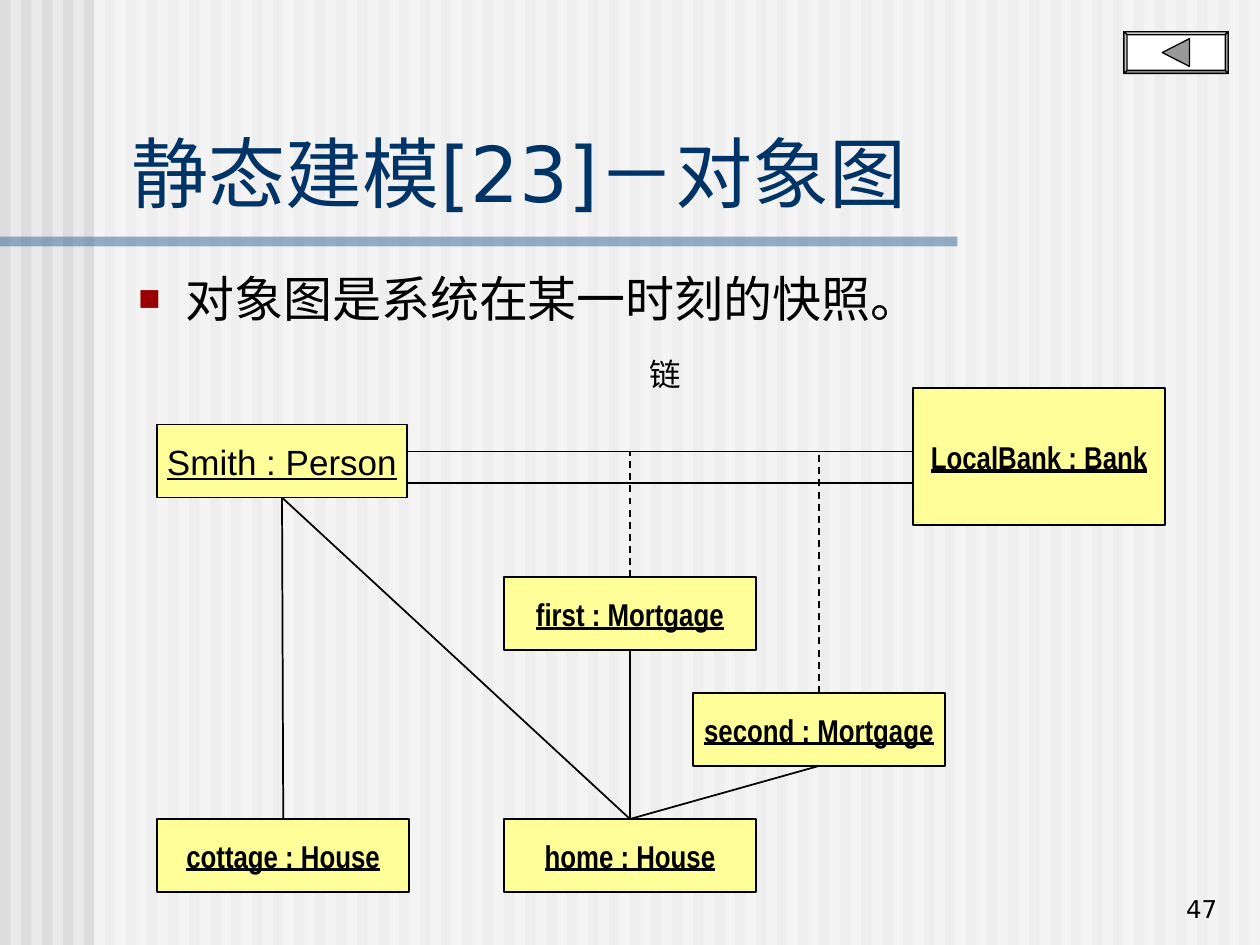
from dataclasses import dataclass

from lxml.etree import SubElement
from pptx import Presentation
from pptx.dml.color import RGBColor
from pptx.enum.dml import MSO_LINE
from pptx.enum.shapes import MSO_CONNECTOR, MSO_SHAPE
from pptx.enum.text import MSO_ANCHOR as Anchor, PP_ALIGN as Align
from pptx.oxml.ns import qn
from pptx.util import Cm, Pt

WIDTH, HEIGHT = 25.4, 19.05
TOP, LEFT, BOTTOM, RIGHT = range(4)


@dataclass
class ObjectBox:
    text: str
    left: float
    top: float
    width: float = 5.08
    height: float = 1.47
    size: float = 18
    font: str = "Arial Narrow"
    bold: bool = True


def color(value: str) -> RGBColor:
    return RGBColor.from_string(value)


def write(shape, text: str, *, size: float, font: str = "DejaVu Sans", ink: str = "000000",
          bold: bool = False, underline: bool = False, align=Align.LEFT,
          anchor=Anchor.TOP, wrap: bool = True, bullet: str = "") -> None:
    frame = shape.text_frame
    frame.word_wrap = wrap
    frame.vertical_anchor = anchor
    paragraph = frame.paragraphs[0]
    paragraph.alignment = align
    if bullet:
        properties = paragraph._p.get_or_add_pPr()
        properties.set("marL", str(Cm(0.95)))
        properties.set("indent", str(-Cm(0.95)))
        SubElement(SubElement(properties, qn("a:buClr")), qn("a:srgbClr"), val=bullet)
        SubElement(properties, qn("a:buSzPct"), val="75000")
        SubElement(properties, qn("a:buFont"), typeface="Arial")
        SubElement(properties, qn("a:buChar"), char="■")
    run = paragraph.add_run()
    run.text = text
    run.font.size = Pt(size)
    run.font.name = font
    run.font.bold = bold
    run.font.underline = underline
    run.font.color.rgb = color(ink)
    SubElement(run._r.get_or_add_rPr(), qn("a:ea"), typeface=font)


def add_text(slide, left: float, top: float, width: float, height: float, text: str, **style):
    shape = slide.shapes.add_textbox(Cm(left), Cm(top), Cm(width), Cm(height))
    write(shape, text, **style)
    return shape


def paint(shape, fill: str, line: str = "", line_width: float = 1, alpha: int = 100) -> None:
    shape.shadow.inherit = False
    shape.fill.solid()
    shape.fill.fore_color.rgb = color(fill)
    if alpha < 100:
        srgb = shape._element.spPr.find(f"{qn('a:solidFill')}/{qn('a:srgbClr')}")
        SubElement(srgb, qn("a:alpha"), val=str(alpha * 1000))
    if line:
        shape.line.color.rgb = color(line)
        shape.line.width = Pt(line_width)
    else:
        shape.line.fill.background()


def add_rectangle(slide, left: float, top: float, width: float, height: float, fill: str, **look):
    shape = slide.shapes.add_shape(MSO_SHAPE.RECTANGLE, Cm(left), Cm(top), Cm(width), Cm(height))
    paint(shape, fill, **look)
    return shape


def add_object(slide, box: ObjectBox):
    shape = add_rectangle(slide, box.left, box.top, box.width, box.height, "FFFF99", line="000000")
    write(shape, box.text, size=box.size, font=box.font, bold=box.bold, underline=True,
          align=Align.CENTER, anchor=Anchor.MIDDLE, wrap=False)
    return shape


def add_line(slide, start_x: int, start_y: int, end_x: int, end_y: int, dashed: bool = False):
    line = slide.shapes.add_connector(MSO_CONNECTOR.STRAIGHT, start_x, start_y, end_x, end_y)
    line.line.color.rgb = color("000000")
    line.line.width = Pt(1)
    if dashed:
        line.line.dash_style = MSO_LINE.DASH
    SubElement(line._element.spPr, qn("a:effectLst"))
    return line


def add_polygon(slide, points: list[tuple[float, float]], fill: str) -> None:
    corners = [(Cm(x), Cm(y)) for x, y in points]
    builder = slide.shapes.build_freeform(*corners[0])
    builder.add_line_segments(corners[1:], close=True)
    paint(builder.convert_to_shape(), fill, line="000000", line_width=0.75)


def add_background(slide) -> None:
    slide.background.fill.solid()
    slide.background.fill.fore_color.rgb = color("EAEAEA")
    stripes = 60
    for index in range(stripes):
        add_rectangle(slide, index * WIDTH / stripes, 0, WIDTH / stripes / 2, HEIGHT, "DDDDDD")
    add_rectangle(slide, 1.9, 0, 23.5, HEIGHT, "FFFFFF", alpha=50)
    add_rectangle(slide, 0, 4.77, 19.3, 0.2, "336699", alpha=50)


def add_diagram(slide) -> None:
    smith = add_object(slide, ObjectBox("Smith : Person", 3.17, 8.56, width=5.03,
                                        size=20, font="Arial", bold=False))
    cottage = add_object(slide, ObjectBox("cottage : House", 3.17, 16.51))
    home = add_object(slide, ObjectBox("home : House", 10.16, 16.51))
    first = add_object(slide, ObjectBox("first : Mortgage", 10.16, 11.64))
    second = add_object(slide, ObjectBox("second : Mortgage", 13.97, 13.97))
    bank = add_object(slide, ObjectBox("LocalBank : Bank", 18.41, 7.83, height=2.75))

    # Links between objects, bottom side to top side
    for source, target in ((smith, cottage), (smith, home), (first, home), (second, home)):
        line = add_line(slide, 0, 0, 0, 0)
        line.begin_connect(source, BOTTOM)
        line.end_connect(target, TOP)

    # Two parallel links to the bank, with a dashed line to each mortgage
    upper, lower = Cm(9.1), Cm(9.74)
    for y in (upper, lower):
        add_line(slide, smith.left + smith.width, y, bank.left, y)
    for mortgage in (first, second):
        middle = mortgage.left + mortgage.width // 2
        line = add_line(slide, middle, mortgage.top, middle, upper, dashed=True)
        line.begin_connect(mortgage, TOP)

    add_text(slide, 12.22, 7.04, 2.39, 1.02, "链", size=18, font="Arial", align=Align.CENTER)


def add_back_button(slide) -> None:
    left, top, right, bottom, bevel = 22.66, 0.64, 24.76, 1.48, 0.06
    outer = [(left, top), (right, top), (right, bottom), (left, bottom)]
    inner = [(left + bevel, top + bevel), (right - bevel, top + bevel),
             (right - bevel, bottom - bevel), (left + bevel, bottom - bevel)]
    add_polygon(slide, outer, "FFFFFF")
    for side, fill in enumerate(("CCCCCC", "999999", "999999", "CCCCCC")):
        after = (side + 1) % 4
        add_polygon(slide, [outer[side], outer[after], inner[after], inner[side]], fill)
    add_polygon(slide, [(23.43, 1.06), (23.98, 0.78), (23.98, 1.34)], "999999")


def main() -> None:
    presentation = Presentation()
    presentation.slide_width, presentation.slide_height = Cm(WIDTH), Cm(HEIGHT)
    slide = presentation.slides.add_slide(presentation.slide_layouts[6])

    add_background(slide)

    # Title and bullet
    add_text(slide, 2.41, 2.39, 22.68, 2.13, "静态建模[23]－对象图", size=44, ink="003366",
             anchor=Anchor.BOTTOM)
    add_text(slide, 2.54, 5.28, 22.53, 1.47, "对象图是系统在某一时刻的快照。", size=28,
             bullet="9A0000")

    add_diagram(slide)
    add_back_button(slide)

    # Page number
    add_text(slide, 19.51, 17.48, 5.28, 1.27, "47", size=14, align=Align.RIGHT,
             anchor=Anchor.BOTTOM)
    presentation.save("out.pptx")


if __name__ == "__main__":
    main()
